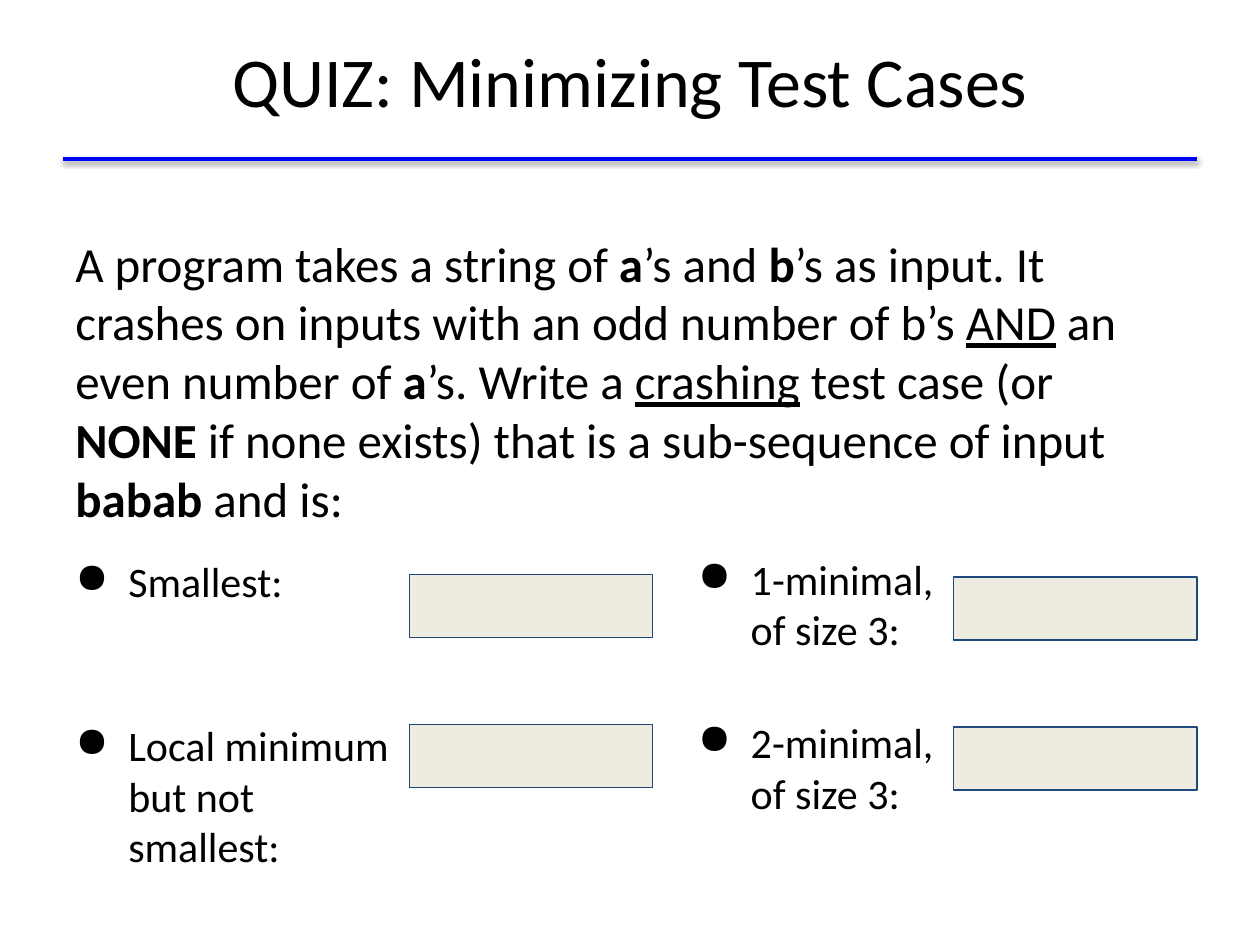
from lxml import etree
from pptx import Presentation
from pptx.dml.color import RGBColor
from pptx.enum.shapes import MSO_CONNECTOR, MSO_SHAPE
from pptx.enum.text import MSO_ANCHOR, PP_ALIGN
from pptx.oxml.ns import qn
from pptx.util import Inches, Pt

BLACK = RGBColor(0x00, 0x00, 0x00)
BLUE = RGBColor(0x00, 0x00, 0xFF)
NAVY = RGBColor(0x1F, 0x49, 0x7D)
CREAM = RGBColor(0xEE, 0xEC, 0xE1)
LINE = MSO_CONNECTOR.STRAIGHT
RECT = MSO_SHAPE.RECTANGLE
TOP, MIDDLE = MSO_ANCHOR.TOP, MSO_ANCHOR.MIDDLE
LEFT, CENTER = PP_ALIGN.LEFT, PP_ALIGN.CENTER
CELL = 0.5

TASK = [
    ("A program takes a string of ", ""), ("a", "b"), ("’s and ", ""),
    ("b", "b"),
    ("’s as input. It crashes on inputs with an odd number of b’s ", ""),
    ("AND", "u"), (" an even number of ", ""), ("a", "b"),
    ("’s. Write a ", ""), ("crashing", "u"), (" test case (or ", ""),
    ("NONE", "b"), (" if none exists) that is a sub-sequence of input ", ""),
    ("babab", "b"), (" and is:", ""),
]


def grid(*cells):
    return [Inches(cell * CELL) for cell in cells]


class Quiz:
    font = "Calibri"

    def __init__(self, slide):
        self.slide = slide
        self.shapes = slide.shapes

    def rule(self, left, right, row):
        rule = self.shapes.add_connector(LINE, *grid(left, row, right, row))
        rule.line.color.rgb = BLUE
        rule.line.width = Pt(2)
        props = rule._element.spPr
        effects = etree.SubElement(props, qn("a:effectLst"))
        shadow = etree.SubElement(effects, qn("a:outerShdw"), blurRad="40000",
                                  dist="20000", dir="5400000", rotWithShape="0")
        tint = etree.SubElement(shadow, qn("a:srgbClr"), val=str(BLACK))
        etree.SubElement(tint, qn("a:alpha"), val="38000")

    def frame(self, place, anchor):
        frame = self.shapes.add_textbox(*grid(*place)).text_frame
        frame.word_wrap = True
        frame.vertical_anchor = anchor
        frame.margin_left = frame.margin_right = Inches(0.1)
        frame.margin_top = frame.margin_bottom = Inches(0.1)
        return frame

    def style(self, para, size, align=LEFT):
        para.alignment = align
        para.font.name = self.font
        para.font.size = Pt(size)
        para.font.color.rgb = BLACK

    def text(self, place, parts, size, anchor=TOP, align=LEFT):
        para = self.frame(place, anchor).paragraphs[0]
        self.style(para, size, align)
        for words, mark in parts:
            run = para.add_run()
            run.text = words
            if mark == "b":
                run.font.bold = True
            elif mark == "u":
                run.font.underline = True

    def bullets(self, place, items, gap):
        frame = self.frame(place, MIDDLE)
        for index, lines in enumerate(items):
            para = frame.add_paragraph() if index else frame.paragraphs[0]
            props = para._p.get_or_add_pPr()
            props.set("marL", str(Inches(0.5)))
            props.set("indent", str(Inches(-0.42)))
            tint = etree.SubElement(props, qn("a:buClr"))
            etree.SubElement(tint, qn("a:srgbClr"), val=str(BLACK))
            etree.SubElement(props, qn("a:buChar"), char="●")
            para.space_before = Pt(gap if index else 6.4)
            self.style(para, 24)
            for number, words in enumerate(lines):
                if number:
                    para.add_line_break()
                para.add_run().text = words

    def blank(self, col, row):
        box = self.shapes.add_shape(RECT, *grid(col, row, 3.86, 1))
        box.shadow.inherit = False
        box.fill.solid()
        box.fill.fore_color.rgb = CREAM
        box.line.color.rgb = NAVY
        box.line.width = Pt(0.75)


def main():
    deck = Presentation()
    deck.slide_width, deck.slide_height = grid(20, 15)
    quiz = Quiz(deck.slides.add_slide(deck.slide_layouts[6]))

    quiz.rule(1, 19, 2.52)
    quiz.text((1, 0.02, 18, 2.5), [("QUIZ: Minimizing Test Cases", "")], 40,
              MIDDLE, CENTER)
    quiz.text((1, 3.5, 18, 9.9), TASK, 28)
    for col, top in ((6.5, 9.12), (15.14, 9.16)):
        for step in range(2):
            quiz.blank(col, top + step * 2.38)
    quiz.bullets((0.84, 9.34, 5.68, 3.96),
                 [["Smallest:"], ["Local minimum", "but not smallest:"]], 65)
    quiz.bullets((10.72, 8.76, 4.76, 4.24),
                 [["1-minimal,", "of size 3:"], ["2-minimal,", "of size 3:"]],
                 35.7)
    deck.save("out.pptx")


if __name__ == "__main__":
    main()
